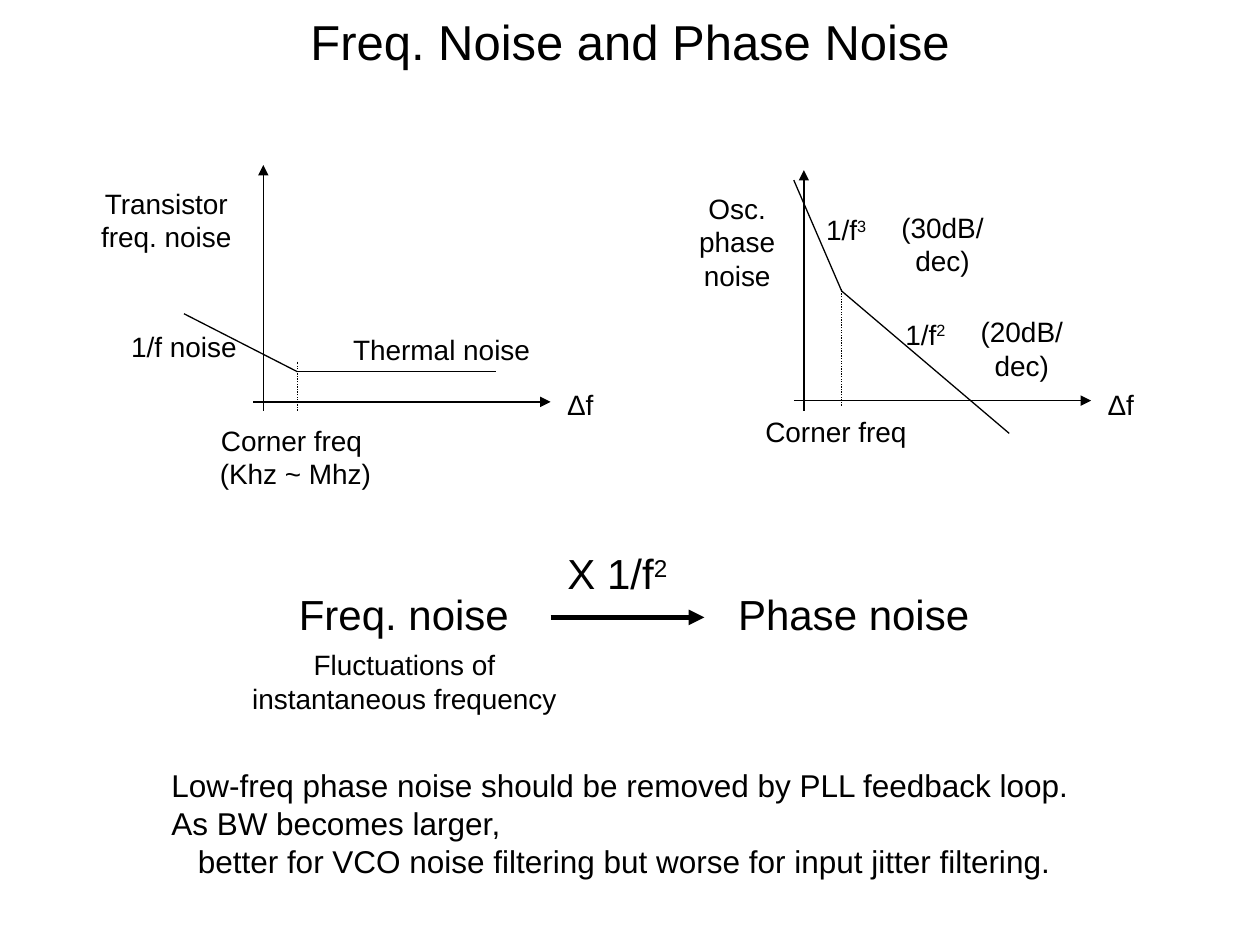
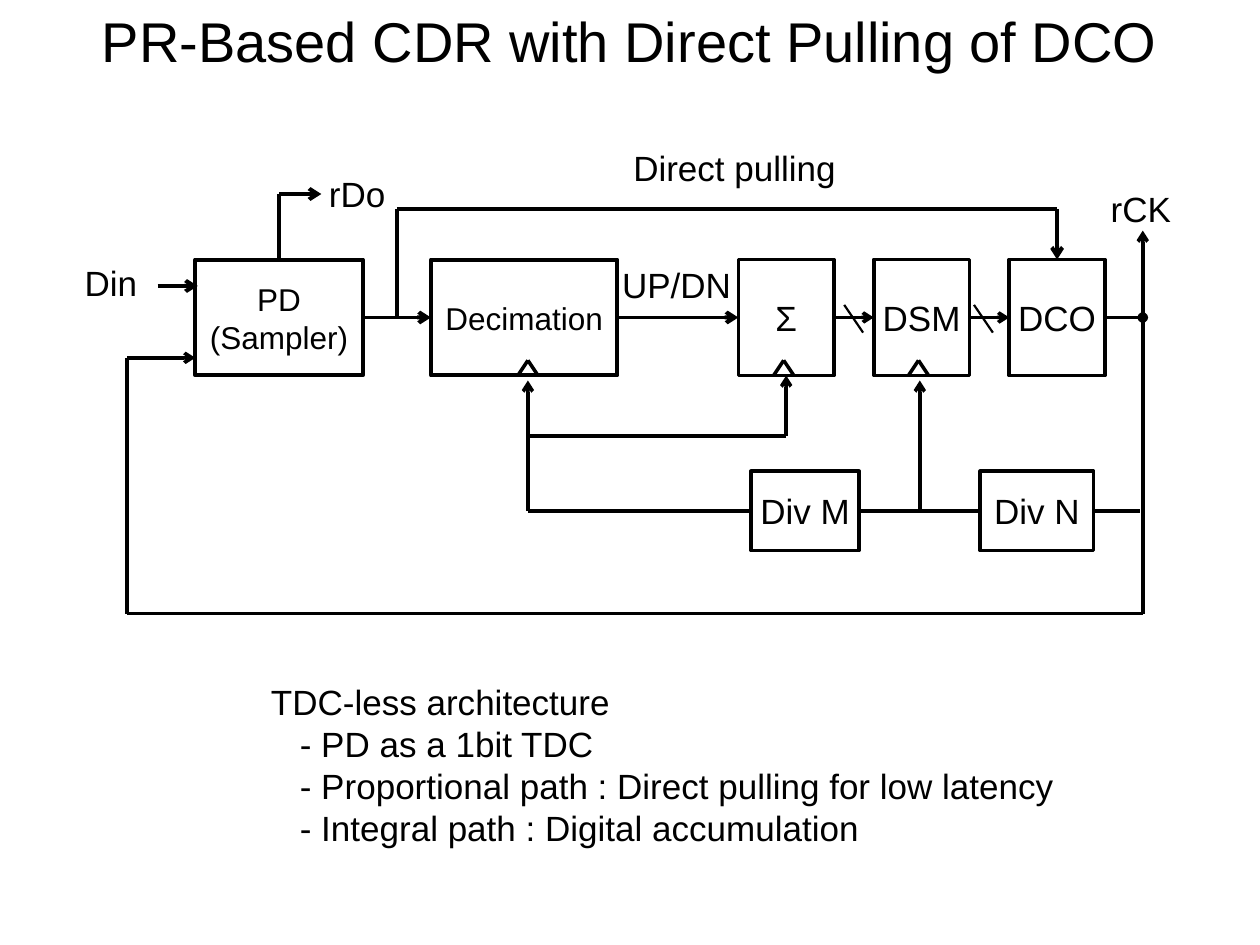
from pptx import Presentation
from pptx.dml.color import RGBColor
from pptx.enum.dml import MSO_LINE
from pptx.enum.shapes import MSO_CONNECTOR, MSO_SHAPE
from pptx.enum.text import MSO_ANCHOR, MSO_AUTO_SIZE, PP_ALIGN
from pptx.oxml.ns import qn
from pptx.util import Inches, Pt
from lxml import etree

INK = "000000"
FONT = "Arial"
LEFT, MID = PP_ALIGN.LEFT, PP_ALIGN.CENTER
TOP, CORE = MSO_ANCHOR.TOP, MSO_ANCHOR.MIDDLE
RECT = MSO_SHAPE.RECTANGLE
STRAIGHT = MSO_CONNECTOR.STRAIGHT
DOTS = MSO_LINE.ROUND_DOT
FIXED = MSO_AUTO_SIZE.NONE
NORTH, WEST, SOUTH, EAST = range(4)


def tint(code):
    """Turn a hex string into a colour."""
    return RGBColor.from_string(code)


def place(shape, box):
    """Move and size a shape in inches."""
    shape.left, shape.top, shape.width, shape.height = map(Inches, box)


def write(frame, text, size, align=MID, anchor=TOP, wrap=True):
    """Fill a text frame line by line, raising what follows a caret."""
    frame.auto_size = FIXED
    frame.word_wrap = wrap
    frame.vertical_anchor = anchor
    for i, line in enumerate(text.split("\n")):
        para = frame.add_paragraph() if i else frame.paragraphs[0]
        para.alignment = align
        para.space_before = Pt(0)
        para.font.name, para.font.size = FONT, Pt(size)
        para.font.color.rgb = tint(INK)
        base, _, power = line.partition("^")
        para.add_run().text = base
        if power:
            run = para.add_run()
            run.text = power
            run._r.get_or_add_rPr().set("baseline", "30000")


def start(deck, title, size, box):
    """Add a slide with its title."""
    slide = deck.slides.add_slide(deck.slide_layouts[1])
    place(slide.shapes.title, box)
    write(slide.shapes.title.text_frame, title, size)
    return slide


def notes(slide, box, size, lines, inset):
    """Fill the body with plain lines, each at level 0 or 1."""
    body = slide.placeholders[1]
    place(body, box)
    write(body.text_frame, "\n".join(text for _, text in lines), size, LEFT)
    for para, (level, _) in zip(body.text_frame.paragraphs, lines):
        props = para._p.get_or_add_pPr()
        props.set("marL", str(Inches(inset * level)))
        props.set("indent", "0")
        etree.SubElement(props, qn("a:buNone"))


def label(slide, text, box, size=16, wrap=True):
    """Add a centred label."""
    shape = slide.shapes.add_textbox(*map(Inches, box))
    write(shape.text_frame, text, size, wrap=wrap)


def block(slide, text, box, size=20, width=2):
    """Add an outlined block of the diagram."""
    shape = slide.shapes.add_shape(RECT, *map(Inches, box))
    shape.shadow.inherit = False
    shape.fill.background()
    shape.line.color.rgb = tint(INK)
    shape.line.width = Pt(width)
    write(shape.text_frame, text, size, anchor=CORE, wrap=False)
    return shape


def wire(slide, spots, width=2, tail=None, dash=None):
    """Draw lines through points or (block, side) pairs, with an end mark."""
    for i, (first, last) in enumerate(zip(spots, spots[1:]), 2):
        ends = [(0, 0) if hasattr(s[0], "shape_id") else s for s in (first, last)]
        line = slide.shapes.add_connector(
            STRAIGHT, *(Inches(n) for end in ends for n in end))
        for spot, join in ((first, line.begin_connect), (last, line.end_connect)):
            if hasattr(spot[0], "shape_id"):
                join(*spot)
        line.line.color.rgb = tint(INK)
        line.line.width = Pt(width)
        if dash:
            line.line.dash_style = dash
        props = line._element.spPr
        if tail and i == len(spots):
            etree.SubElement(props.find(qn("a:ln")), qn("a:tailEnd"), type=tail)
        etree.SubElement(props, qn("a:effectLst"))


def graph(slide, left, cross, base, top, curve, foot, knee):
    """Draw axes, a bent curve and the dotted line at its corner."""
    wire(slide, [(left, base), (left + 2.36, base)], 0.75, "triangle")
    wire(slide, [(cross, 3.26), (cross, top)], 0.75, "triangle")
    wire(slide, curve, 0.75)
    wire(slide, [(curve[1][0], foot), (curve[1][0], knee)], 0.75, dash=DOTS)
    label(slide, "Δf", (left + 2.36, 3.03, 0.47, 0.37))


def noise(deck):
    """Build the slide on frequency and phase noise."""
    slide = start(deck, "Freq. Noise and Phase Noise", 28, (0, 0.04, 10, 0.57))
    graph(slide, 2.01, 2.09, 3.19, 1.31,
          [(1.46, 2.49), (2.36, 2.95), (3.94, 2.95)], 3.26, 2.87)
    graph(slide, 6.3, 6.38, 3.18, 1.35,
          [(6.3, 1.43), (6.68, 2.31), (8.01, 3.44)], 3.22, 2.29)
    for text, box in (
            ("Transistor freq. noise", (0.63, 1.43, 1.38, 0.64)),
            ("1/f noise", (0.83, 2.57, 1.26, 0.37)),
            ("Thermal noise", (2.56, 2.59, 1.89, 0.37)),
            ("Corner freq \n(Khz ~ Mhz)", (0.71, 3.31, 3.27, 0.64)),
            ("Osc. phase noise", (5.24, 1.47, 1.22, 0.91)),
            ("1/f^3", (6.24, 1.64, 0.95, 0.37)),
            ("(30dB/dec)", (6.85, 1.62, 1.26, 0.37)),
            ("1/f^2", (6.93, 2.47, 0.83, 0.37)),
            ("(20dB/dec)", (7.48, 2.45, 1.26, 0.37)),
            ("Corner freq", (5.75, 3.24, 1.77, 0.37)),
            ("Fluctuations of instantaneous frequency", (1.81, 5.09, 2.8, 0.64))):
        label(slide, text, box)
    for text, box in (
            ("Freq. noise", (2.24, 4.62, 1.93, 0.51)),
            ("X 1/f^2", (4.21, 4.3, 1.38, 0.5)),
            ("Phase noise", (5.59, 4.62, 2.37, 0.51))):
        label(slide, text, box, 24)
    wire(slide, [(4.37, 4.9), (5.59, 4.9)], 3, "triangle")
    notes(slide, (1.26, 6.03, 7.95, 1.01), 18, [
        (0, "Low-freq phase noise should be removed by PLL feedback loop."),
        (0, "As BW becomes larger,"),
        (1, "better for VCO noise filtering but worse for input jitter filtering."),
    ], 0.21)


def loop(deck):
    """Build the slide with the clock recovery loop."""
    slide = start(deck, "PR-Based CDR with Direct Pulling of DCO", 32, (0, 0, 10, 0.64))
    row, high = 2.06, 0.92
    axis = row + high / 2
    pd = block(slide, "PD\n(Sampler)", (1.55, row, 1.33, high), 18, 2.25)
    dec = block(slide, "Decimation", (3.42, row, 1.48, high), 18, 2.25)
    acc, dsm, dco = (block(slide, text, (5.86 + 1.075 * i, row, 0.76, high))
                     for i, text in enumerate(("Σ", "DSM", "DCO")))
    divm = block(slide, "Div M", (5.96, 3.74, 0.86, 0.63))
    divn = block(slide, "Div N", (7.78, 3.74, 0.9, 0.63))

    for one, two, width in ((pd, dec, 2.25), (dec, acc, 2.25),
                            (acc, dsm, 2), (dsm, dco, 2)):
        wire(slide, [(one, EAST), (two, WEST)], width, "arrow")
    for x in (6.7, 7.73):
        wire(slide, [(x + 0.15, 2.64), (x, 2.42)], 1.25)
    for x in (4.19, 6.22, 7.29):
        wire(slide, [(x - 0.08, 2.98), (x, 2.86), (x + 0.08, 2.98)])

    wire(slide, [(pd, NORTH), (2.215, 1.54), (2.55, 1.54)], 2.25, "arrow")
    wire(slide, [(1.25, 2.27), (1.57, 2.27)], 2.25, "arrow")
    wire(slide, [(3.15, axis), (3.15, 1.66), (8.39, 1.66), (dco, NORTH)], 2.25, "arrow")
    wire(slide, [(dco, EAST), (9.07, axis)], tail="oval")
    wire(slide, [(9.07, 4.87), (9.07, 1.83)], tail="arrow")
    wire(slide, [(9.07, 4.87), (1.01, 4.87), (1.01, 2.84), (1.55, 2.84)], tail="arrow")
    wire(slide, [(divn, EAST), (9.05, 4.055)])
    wire(slide, [(divn, WEST), (divm, EAST)])
    wire(slide, [(7.3, 4.05), (7.3, 3.02)], tail="arrow")
    wire(slide, [(divm, WEST), (4.19, 4.055), (4.19, 3.02)], tail="arrow")
    wire(slide, [(4.19, 3.46), (6.24, 3.46), (acc, SOUTH)], tail="arrow")

    for text, box in (
            ("Din", (0.57, 2.03, 0.62, 0.44)),
            ("rDo", (2.51, 1.32, 0.65, 0.44)),
            ("UP/DN", (4.84, 2.04, 1.06, 0.44)),
            ("Direct pulling", (4.92, 1.11, 1.82, 0.44)),
            ("rCK", (8.71, 1.44, 0.69, 0.44))):
        label(slide, text, box, 20, False)
    notes(slide, (2.05, 5.35, 6.46, 1.45), 20, [
        (0, "TDC-less architecture"),
        (1, "- PD as a 1bit TDC"),
        (1, "- Proportional path : Direct pulling for low latency"),
        (1, "- Integral path : Digital accumulation"),
    ], 0.23)


def main():
    """Build and save the deck."""
    deck = Presentation()
    deck.slide_width, deck.slide_height = Inches(10), Inches(7.5)
    noise(deck)
    loop(deck)
    deck.save("out.pptx")


if __name__ == "__main__":
    main()
